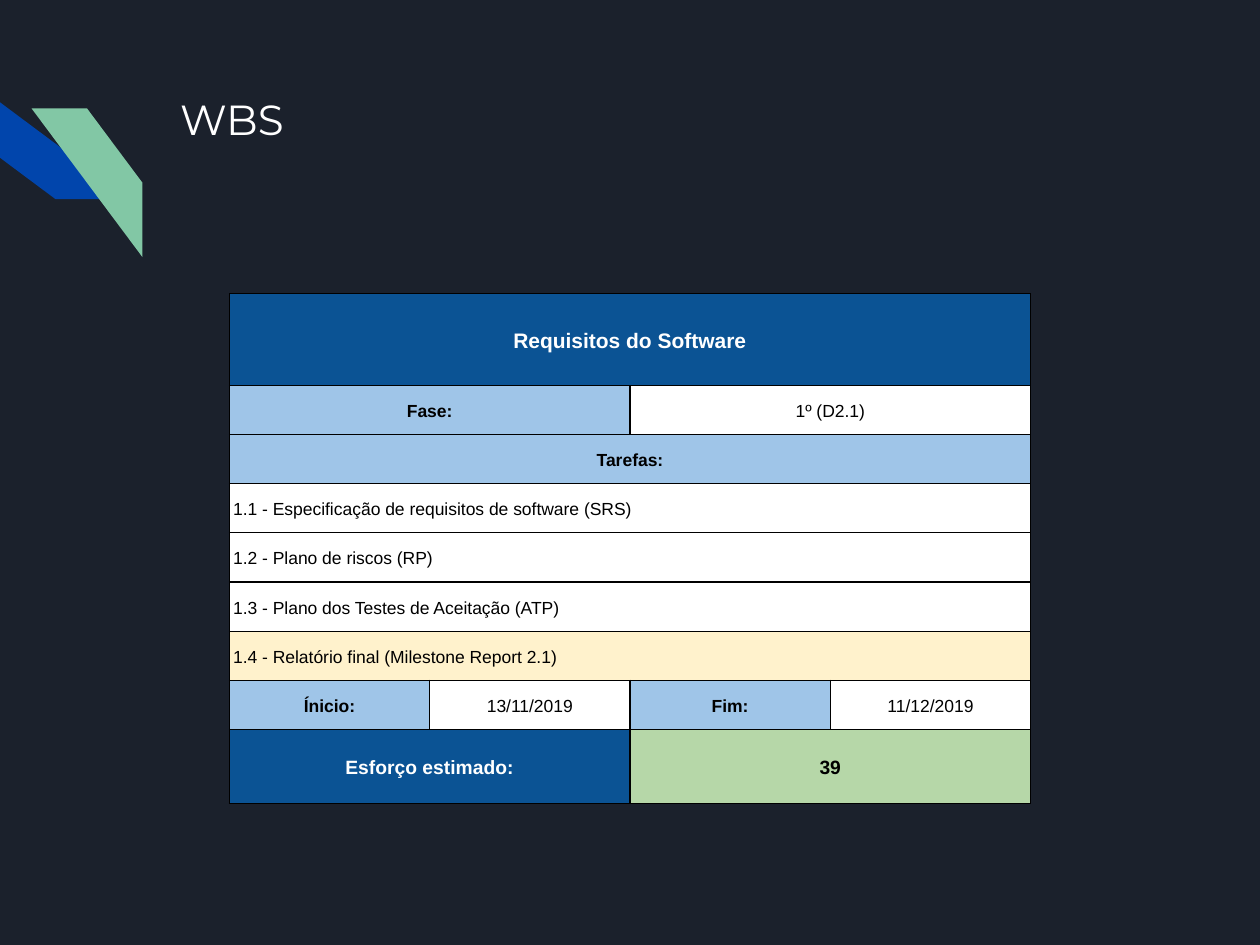
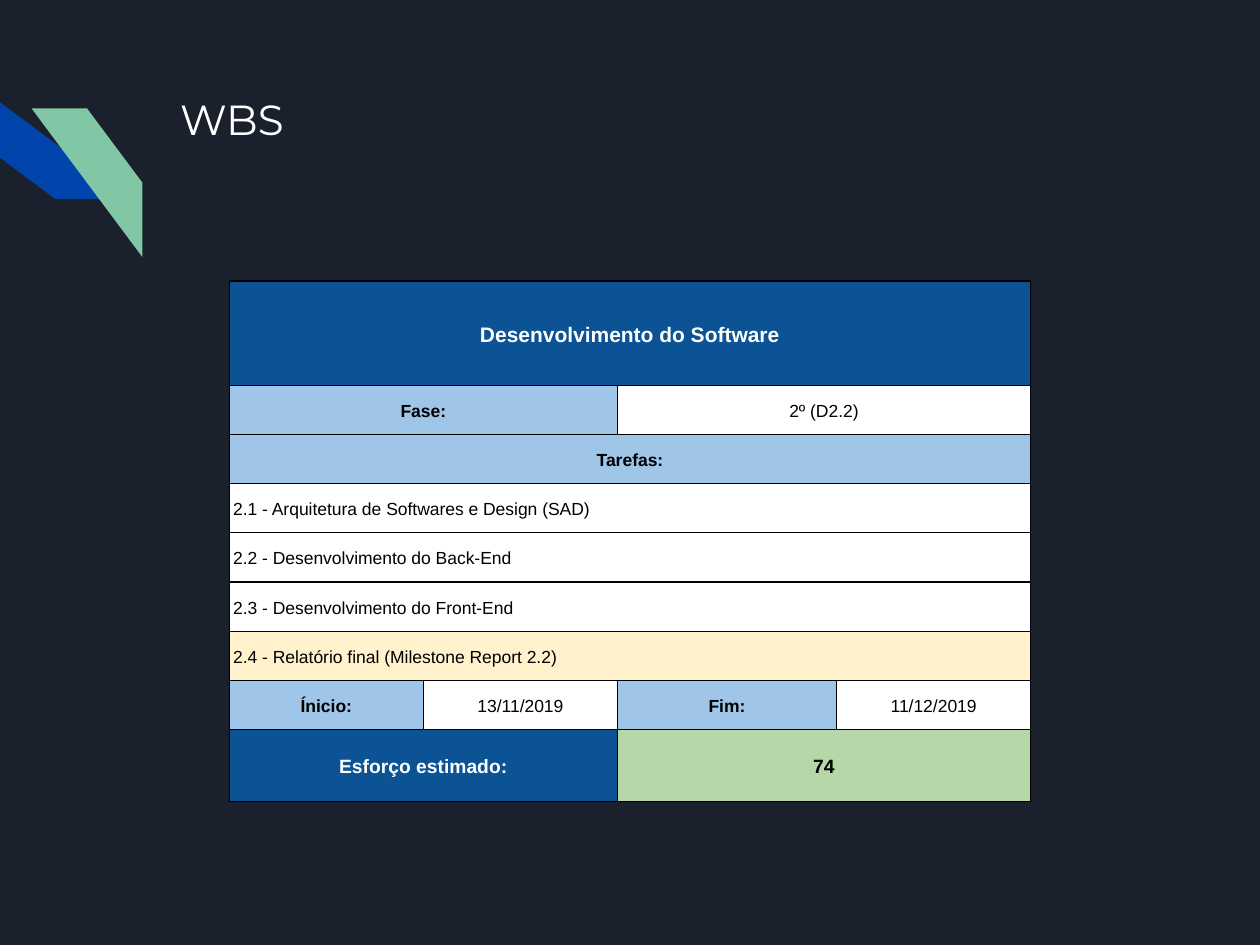
"""Build two WBS slides, each with one phase table on a dark background."""
from lxml import etree
from pptx import Presentation
from pptx.dml.color import RGBColor
from pptx.enum.shapes import MSO_SHAPE
from pptx.enum.text import MSO_ANCHOR, MSO_AUTO_SIZE, PP_ALIGN
from pptx.oxml.ns import qn
from pptx.util import Inches, Pt

STRIPE = MSO_SHAPE.DIAGONAL_STRIPE
TOP, MIDDLE = MSO_ANCHOR.TOP, MSO_ANCHOR.MIDDLE
LEFT, CENTER = PP_ALIGN.LEFT, PP_ALIGN.CENTER
NO_AUTO_SIZE = MSO_AUTO_SIZE.NONE

NIGHT = RGBColor(0x1B, 0x21, 0x2C)
COBALT = RGBColor(0x01, 0x45, 0xAC)
MINT = RGBColor(0x82, 0xC7, 0xA5)
NAVY = RGBColor(0x0B, 0x53, 0x94)
SKY = RGBColor(0x9F, 0xC5, 0xE8)
CREAM = RGBColor(0xFF, 0xF2, 0xCC)
GREEN = RGBColor(0xB6, 0xD7, 0xA8)
WHITE = RGBColor(0xFF, 0xFF, 0xFF)
BLACK = RGBColor(0x00, 0x00, 0x00)

TITLE_FONT = {"name": "Montserrat", "size": Pt(24), "bold": False}
CELL_STYLES = {
    "heading": (NAVY, WHITE, 12, True, CENTER),
    "label": (SKY, BLACK, 10, True, CENTER),
    "value": (WHITE, BLACK, 10, False, CENTER),
    "task": (WHITE, BLACK, 10, False, LEFT),
    "report": (CREAM, BLACK, 10, False, LEFT),
    "effort": (NAVY, WHITE, 11, True, CENTER),
    "total": (GREEN, BLACK, 11, True, CENTER),
}
STRIPES = [
    (0, 0.55, 0.88, 1.18, 270, COBALT),
    (0.1, 1.01, 1.18, 0.88, 90, MINT),
]
PHASES = [
    {
        "heading": "Requisitos do Software",
        "phase": "1º (D2.1)",
        "tasks": [
            "1.1 - Especificação de requisitos de software (SRS)",
            "1.2 - Plano de riscos (RP)",
            "1.3 - Plano dos Testes de Aceitação (ATP)",
        ],
        "report": "1.4 - Relatório final (Milestone Report 2.1)",
        "effort": "39",
        "top": 2.33,
        "columns": [1.59, 1.59, 1.59, 1.59],
        "outer_rows": (0.73, 0.59),
    },
    {
        "heading": "Desenvolvimento do Software",
        "phase": "2º (D2.2)",
        "tasks": [
            "2.1 - Arquitetura de Softwares e Design (SAD)",
            "2.2 - Desenvolvimento do Back-End",
            "2.3 - Desenvolvimento do Front-End",
        ],
        "report": "2.4 - Relatório final (Milestone Report 2.2)",
        "effort": "74",
        "top": 2.23,
        "columns": [1.54, 1.54, 1.74, 1.54],
        "outer_rows": (0.83, 0.57),
    },
]


def add_borders(cell):
    """Draw a thin black line on all four sides of a cell."""
    properties = cell._tc.get_or_add_tcPr()
    for position, side in enumerate(("lnL", "lnR", "lnT", "lnB")):
        line = etree.Element(qn(f"a:{side}"), w=str(Pt(0.75)))
        fill = etree.SubElement(line, qn("a:solidFill"))
        etree.SubElement(fill, qn("a:srgbClr"), val=str(BLACK))
        properties.insert(position, line)


def format_cell(cell, style):
    """Give a cell its fill, margins, text format and borders."""
    fill_color, font_color, size, bold, alignment = CELL_STYLES[style]
    cell.fill.solid()
    cell.fill.fore_color.rgb = fill_color
    cell.vertical_anchor = MIDDLE
    cell.margin_left = cell.margin_right = Inches(0.03)
    cell.margin_top = cell.margin_bottom = Inches(0.02)
    paragraph = cell.text_frame.paragraphs[0]
    paragraph.alignment = alignment
    paragraph.line_spacing = 1.15
    for name, value in {"name": "Arial", "size": Pt(size), "bold": bold}.items():
        setattr(paragraph.font, name, value)
    paragraph.font.color.rgb = font_color
    add_borders(cell)


presentation = Presentation()
presentation.slide_width = Inches(10)
presentation.slide_height = Inches(7.5)
background = presentation.slide_master.background.fill
background.solid()
background.fore_color.rgb = NIGHT
title_only = presentation.slide_layouts[5]

for phase in PHASES:
    slide = presentation.slides.add_slide(title_only)

    for left, top, width, height, rotation, color in STRIPES:
        stripe = slide.shapes.add_shape(
            STRIPE, Inches(left), Inches(top), Inches(width), Inches(height))
        stripe.rotation = rotation
        stripe.shadow.inherit = False
        stripe.fill.solid()
        stripe.fill.fore_color.rgb = color
        stripe.line.fill.background()

    title = slide.shapes.title
    title.left, title.top = Inches(1.33), Inches(0.64)
    title.width, title.height = Inches(7.7), Inches(1.33)
    frame = title.text_frame
    frame.text = "WBS"
    frame.auto_size = NO_AUTO_SIZE
    frame.vertical_anchor = TOP
    for side in ("left", "right", "top", "bottom"):
        setattr(frame, f"margin_{side}", Inches(0.1))
    paragraph = frame.paragraphs[0]
    paragraph.alignment = LEFT
    for name, value in TITLE_FONT.items():
        setattr(paragraph.font, name, value)
    paragraph.font.color.rgb = WHITE

    rows = [
        [(phase["heading"], "heading")],
        [("Fase:", "label"), (phase["phase"], "value")],
        [("Tarefas:", "label")],
        *[[(task, "task")] for task in phase["tasks"]],
        [(phase["report"], "report")],
        [("Ínicio:", "label"), ("13/11/2019", "value"),
         ("Fim:", "label"), ("11/12/2019", "value")],
        [("Esforço estimado:", "effort"), (phase["effort"], "total")],
    ]
    first_height, last_height = phase["outer_rows"]
    heights = [first_height] + [0.39] * (len(rows) - 2) + [last_height]
    widths = phase["columns"]
    table = slide.shapes.add_table(
        len(rows), len(widths), Inches(1.82), Inches(phase["top"]),
        Inches(sum(widths)), Inches(sum(heights))).table
    table.first_row = table.horz_banding = False
    for column, width in zip(table.columns, widths):
        column.width = Inches(width)
    for row, height in zip(table.rows, heights):
        row.height = Inches(height)

    for row_index, entries in enumerate(rows):
        span = len(widths) // len(entries)
        for entry_index, (text, style) in enumerate(entries):
            first = entry_index * span
            cells = [table.cell(row_index, first + step) for step in range(span)]
            cells[0].text = text
            for cell in cells:
                format_cell(cell, style)
            if span > 1:
                cells[0].merge(cells[-1])

presentation.save("out.pptx")
